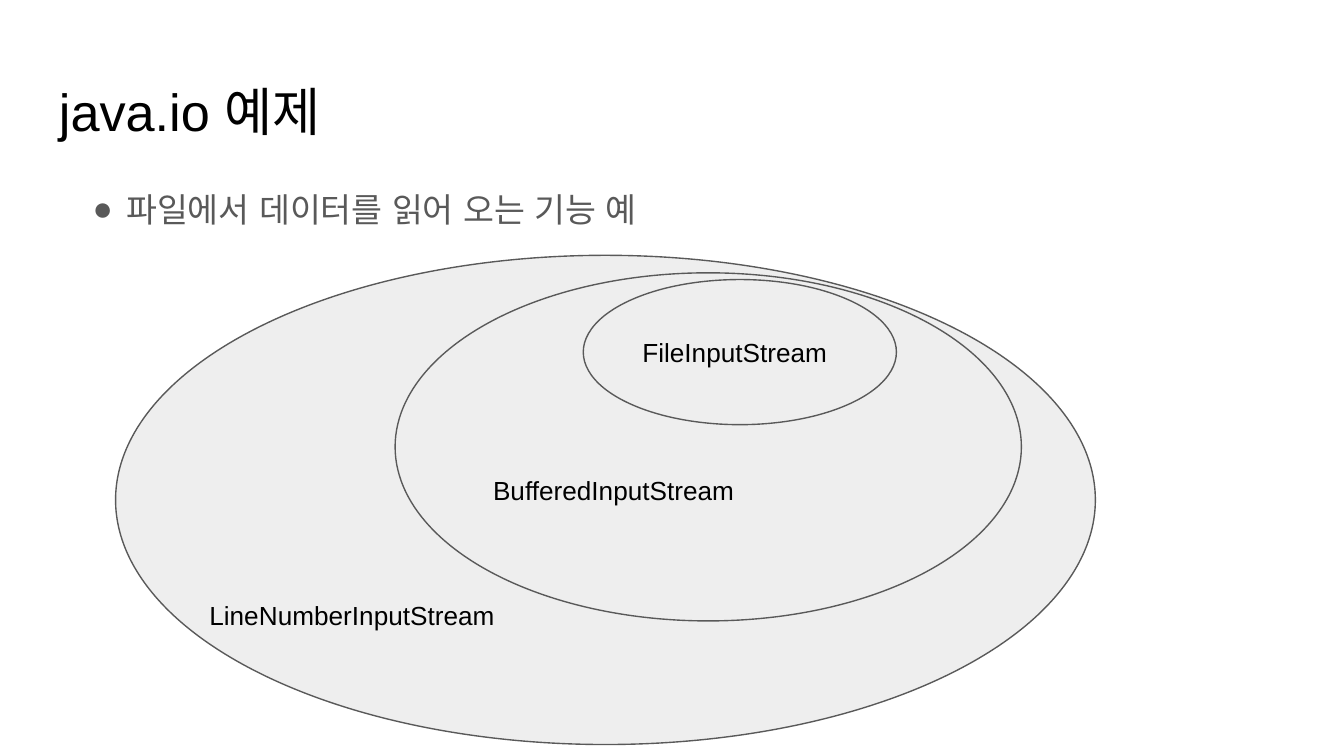
from lxml import etree
from pptx import Presentation
from pptx.dml.color import RGBColor
from pptx.enum.lang import MSO_LANGUAGE_ID
from pptx.enum.shapes import MSO_SHAPE
from pptx.enum.text import MSO_ANCHOR, PP_ALIGN
from pptx.oxml.ns import qn
from pptx.util import Inches, Pt

OVAL = MSO_SHAPE.OVAL
TOP, MIDDLE = MSO_ANCHOR.TOP, MSO_ANCHOR.MIDDLE
LEFT = PP_ALIGN.LEFT
KOREAN = MSO_LANGUAGE_ID.KOREAN

# Content: boxes are left, top, width, height in inches
TITLE = ("java.io 예제", (0.34, 0.49, 9.32, 0.63))
BULLET = ("파일에서 데이터를 읽어 오는 기능 예", (0.34, 1.26, 9.32, 3.74))
STREAM_OVALS = [  # outermost first
    ("", (0.86, 1.9, 7.29, 3.64)),
    ("", (2.94, 2.03, 4.66, 2.59)),
    ("FileInputStream", (4.34, 2.08, 2.33, 1.08)),
]
STREAM_LABELS = [
    ("LineNumberInputStream", (1.46, 4.36, 6.24, 0.73), TOP),
    ("BufferedInputStream", (3.57, 3.28, 3.28, 0.73), MIDDLE),
]

THEME = {
    "font": "Arial",
    "ink": RGBColor.from_string("000000"),
    "gray": RGBColor.from_string("595959"),
    "fill": RGBColor.from_string("EEEEEE"),
    "title": Pt(28),
    "body": Pt(18),
    "label": Pt(14),
    "line": Pt(0.75),
}


def write(shape, text, size, color, anchor=TOP):
    """Fill a shape with one left-aligned line and return its paragraph."""
    frame = shape.text_frame
    frame.word_wrap = True
    frame.vertical_anchor = anchor
    frame.margin_left = frame.margin_right = Inches(0.1)
    frame.margin_top = frame.margin_bottom = Inches(0.1)
    frame.text = text
    para = frame.paragraphs[0]
    para.alignment = LEFT
    for span in para.runs:
        span.font.name = THEME["font"]
        span.font.size = THEME[size]
        span.font.color.rgb = THEME[color]
        span.font.language_id = KOREAN
        east_asian = etree.SubElement(span.font._element, qn("a:ea"))
        east_asian.set("typeface", THEME["font"])
    return para


def add_text(page, text, box, size, color, anchor=TOP):
    shape = page.shapes.add_textbox(*map(Inches, box))
    return write(shape, text, size, color, anchor)


def add_oval(page, text, box):
    oval = page.shapes.add_shape(OVAL, *map(Inches, box))
    oval.shadow.inherit = False
    oval.fill.solid()
    oval.fill.fore_color.rgb = THEME["fill"]
    oval.line.color.rgb = THEME["gray"]
    oval.line.width = THEME["line"]
    if text:
        write(oval, text, "label", "ink", MIDDLE)


def add_bullet(para):
    para.line_spacing = 1.15
    para.space_after = Pt(16)
    properties = para._p.get_or_add_pPr()
    properties.set("marL", str(Inches(0.5)))
    properties.set("indent", str(Inches(-0.25)))
    color = etree.SubElement(properties, qn("a:buClr"))
    etree.SubElement(color, qn("a:srgbClr")).set("val", str(THEME["gray"]))
    etree.SubElement(properties, qn("a:buFont")).set("typeface", THEME["font"])
    etree.SubElement(properties, qn("a:buChar")).set("char", "●")


def main():
    deck = Presentation()
    deck.slide_width = Inches(10)
    deck.slide_height = Inches(10) * 9 // 16
    page = deck.slides.add_slide(deck.slide_layouts[6])

    # Heading and bullet
    add_text(page, *TITLE, "title", "ink")
    add_bullet(add_text(page, *BULLET, "body", "gray"))

    # Nested streams, then the labels of the outer two
    for text, box in STREAM_OVALS:
        add_oval(page, text, box)
    for text, box, anchor in STREAM_LABELS:
        add_text(page, text, box, "label", "ink", anchor)

    deck.save("out.pptx")


if __name__ == "__main__":
    main()
